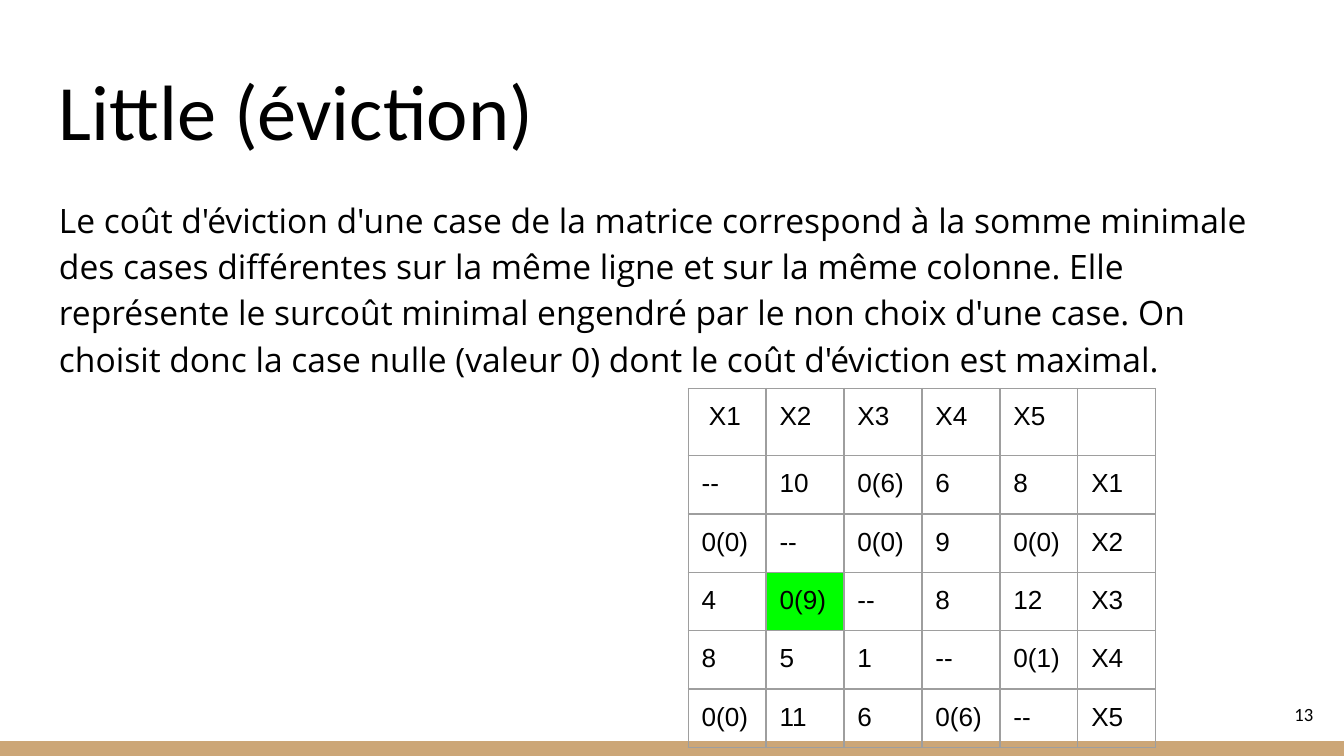
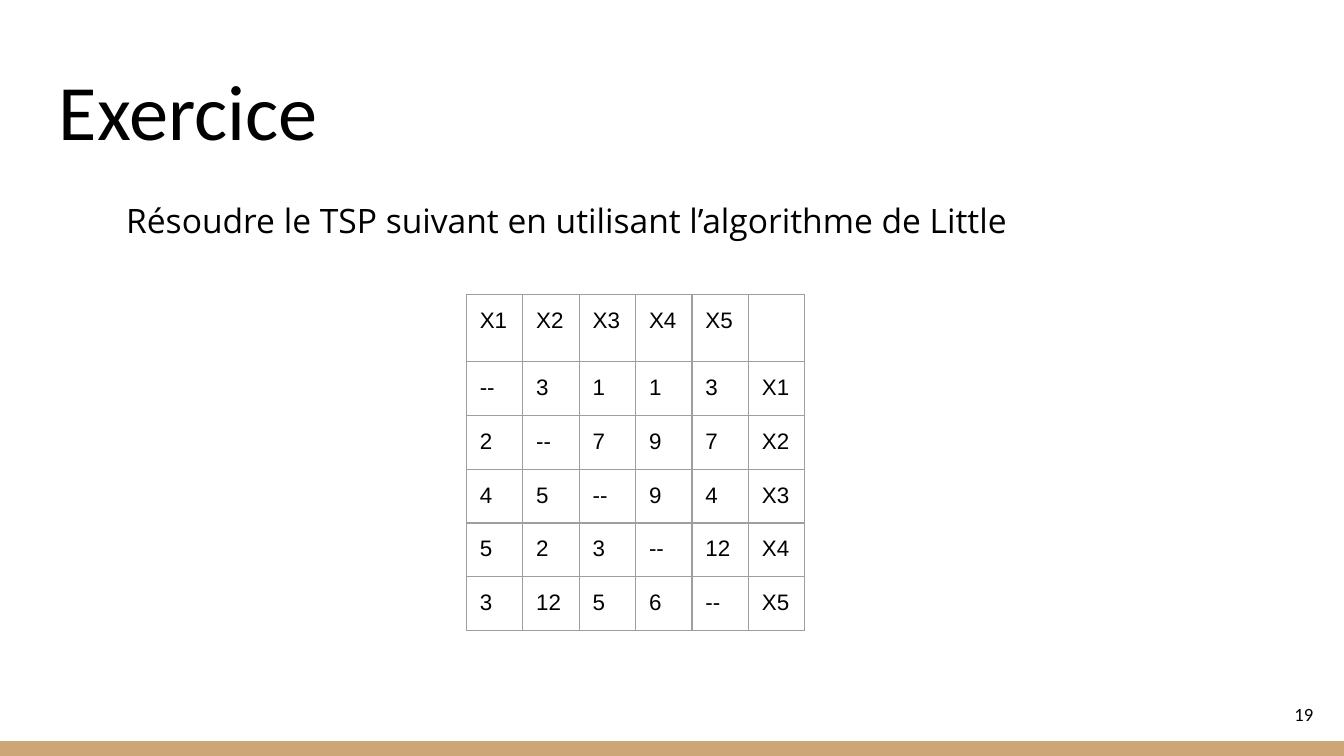
from dataclasses import dataclass

from lxml.etree import SubElement
from pptx import Presentation
from pptx.dml.color import RGBColor
from pptx.enum.shapes import MSO_SHAPE as Preset
from pptx.enum.text import MSO_ANCHOR as Anchor, PP_ALIGN as Align
from pptx.oxml.ns import qn
from pptx.slide import Slide
from pptx.table import _Cell as Cell
from pptx.util import Inches, Length, Pt


@dataclass(frozen=True)
class TextStyle:
    font: str
    size: int
    line_spacing: float = 1.0


@dataclass(frozen=True)
class Theme:
    text: str = "000000"
    band: str = "CCA677"
    border: str = "9E9E9E"
    highlight: str = "00FF00"
    title: TextStyle = TextStyle("Calibri", 42)
    body: TextStyle = TextStyle("Open Sans", 18, 1.15)
    page_number: TextStyle = TextStyle("Calibri", 10)
    empty_cell: TextStyle = TextStyle("Arial", 18)
    border_width: Length = Pt(0.75)
    inset: Length = Inches(0.1)


THEME = Theme()
WIDTH = Inches(10)
HEIGHT = WIDTH * 9 // 16
BAND_HEIGHT = Inches(0.11)


@dataclass(frozen=True)
class Box:
    left: float
    top: float
    width: float
    height: float

    def lengths(self) -> tuple[Length, ...]:
        return tuple(map(Inches, (self.left, self.top, self.width, self.height)))


TITLE_BOX = Box(0.34, 0.35, 9.32, 0.91)
BODY_BOX = Box(0.34, 1.34, 9.32, 3.67)
PAGE_NUMBER_BOX = Box(9.27, 5.1, 0.6, 0.43)


@dataclass(frozen=True)
class CostMatrix:
    left: float
    top: float
    column_width: float
    row_heights: tuple[float, ...]
    style: TextStyle
    rows: tuple[tuple[str, ...], ...]
    highlighted: tuple[int, int] | None = None


@dataclass(frozen=True)
class Page:
    number: int
    title: str
    body: str
    matrix: CostMatrix
    body_indent: float = 0


PAGES = (
    Page(
        13,
        "Little (éviction)",
        "Le coût d'éviction d'une case de la matrice correspond à la somme minimale "
        "des cases différentes sur la même ligne et sur la même colonne. Elle "
        "représente le surcoût minimal engendré par le non choix d'une case. On "
        "choisit donc la case nulle (valeur 0) dont le coût d'éviction est maximal.",
        CostMatrix(
            5.12, 2.89, 0.58, (0.36,) * 2 + (0.43,) * 4, TextStyle("Arial", 14),
            (
                (" X1", "X2", "X3", "X4", "X5", ""),
                ("--", "10", "0(6)", "6", "8", "X1"),
                ("0(0)", "--", "0(0)", "9", "0(0)", "X2"),
                ("4", "0(9)", "--", "8", "12", "X3"),
                ("8", "5", "1", "--", "0(1)", "X4"),
                ("0(0)", "11", "6", "0(6)", "--", "X5"),
            ),
            highlighted=(3, 1),
        ),
    ),
    Page(
        19,
        "Exercice",
        "Résoudre le TSP suivant en utilisant l’algorithme de Little",
        CostMatrix(
            3.47, 2.19, 0.42, (0.29,) * 6, TextStyle("Arial", 12),
            (
                ("X1", "X2", "X3", "X4", "X5", ""),
                ("--", "3", "1", "1", "3", "X1"),
                ("2", "--", "7", "9", "7", "X2"),
                ("4", "5", "--", "9", "4", "X3"),
                ("5", "2", "3", "--", "12", "X4"),
                ("3", "12", "5", "6", "--", "X5"),
            ),
        ),
        body_indent=0.5,
    ),
)


def set_format(target: object, values: dict[str, object]) -> None:
    for name, value in values.items():
        setattr(target, name, value)


def set_margins(target: object) -> None:
    """Apply the shared inset to a text frame or a table cell."""
    sides = ("left", "top", "right", "bottom")
    set_format(target, {f"margin_{side}": THEME.inset for side in sides})


def write(paragraph, text: str, style: TextStyle) -> None:
    paragraph.line_spacing = style.line_spacing
    run = paragraph.add_run()
    run.text = text
    set_format(run.font, {"name": style.font, "size": Pt(style.size)})
    run.font.color.rgb = RGBColor.from_string(THEME.text)


def add_text(slide: Slide, box: Box, text: str, style: TextStyle,
             anchor: Anchor = Anchor.TOP, indent: float = 0,
             alignment: Align = Align.LEFT) -> None:
    frame = slide.shapes.add_textbox(*box.lengths()).text_frame
    set_format(frame, {"word_wrap": True, "vertical_anchor": anchor})
    set_margins(frame)
    paragraph = frame.paragraphs[0]
    paragraph.alignment = alignment
    if indent:
        paragraph._p.get_or_add_pPr().set("marL", str(Inches(indent)))
    write(paragraph, text, style)


def add_band(slide: Slide) -> None:
    band = slide.shapes.add_shape(
        Preset.RECTANGLE, 0, HEIGHT - BAND_HEIGHT, WIDTH, BAND_HEIGHT)
    band.shadow.inherit = False
    band.fill.solid()
    band.fill.fore_color.rgb = RGBColor.from_string(THEME.band)
    band.line.fill.background()


def add_borders(cell: Cell) -> None:
    properties = cell._tc.get_or_add_tcPr()
    for index, side in enumerate(("lnL", "lnR", "lnT", "lnB")):
        line = SubElement(properties, qn(f"a:{side}"), w=str(THEME.border_width))
        fill = SubElement(line, qn("a:solidFill"))
        SubElement(fill, qn("a:srgbClr"), val=THEME.border)
        properties.insert(index, line)


def size_empty_cell(cell: Cell) -> None:
    """Give an empty cell the type size that sets its line height."""
    style = THEME.empty_cell
    paragraph = cell.text_frame.paragraphs[0]
    paragraph.line_spacing = style.line_spacing
    end = SubElement(paragraph._p, qn("a:endParaRPr"), sz=str(style.size * 100))
    SubElement(end, qn("a:latin"), typeface=style.font)


def fill_cell(cell: Cell, text: str, style: TextStyle, highlighted: bool) -> None:
    set_margins(cell)
    if text:
        write(cell.text_frame.paragraphs[0], text, style)
    else:
        size_empty_cell(cell)
    if highlighted:
        cell.fill.solid()
        cell.fill.fore_color.rgb = RGBColor.from_string(THEME.highlight)
    else:
        cell.fill.background()
    add_borders(cell)


def add_matrix(slide: Slide, matrix: CostMatrix) -> None:
    row_count, column_count = len(matrix.rows), len(matrix.rows[0])
    box = Box(matrix.left, matrix.top,
              matrix.column_width * column_count, sum(matrix.row_heights))
    table = slide.shapes.add_table(row_count, column_count, *box.lengths()).table
    set_format(table, {"first_row": False, "horz_banding": False})
    for column in table.columns:
        column.width = Inches(matrix.column_width)
    for row, height in zip(table.rows, matrix.row_heights):
        row.height = Inches(height)
    for row_index, values in enumerate(matrix.rows):
        for column_index, value in enumerate(values):
            position = (row_index, column_index)
            fill_cell(table.cell(*position), value, matrix.style,
                      position == matrix.highlighted)


def add_page(presentation, page: Page) -> None:
    slide = presentation.slides.add_slide(presentation.slide_layouts[6])
    add_band(slide)
    add_text(slide, TITLE_BOX, page.title, THEME.title, Anchor.BOTTOM)
    add_text(slide, BODY_BOX, page.body, THEME.body, indent=page.body_indent)
    add_matrix(slide, page.matrix)
    add_text(slide, PAGE_NUMBER_BOX, str(page.number), THEME.page_number,
             Anchor.MIDDLE, alignment=Align.RIGHT)


def main() -> None:
    presentation = Presentation()
    set_format(presentation, {"slide_width": WIDTH, "slide_height": HEIGHT})
    for page in PAGES:
        add_page(presentation, page)
    presentation.save("out.pptx")


if __name__ == "__main__":
    main()
